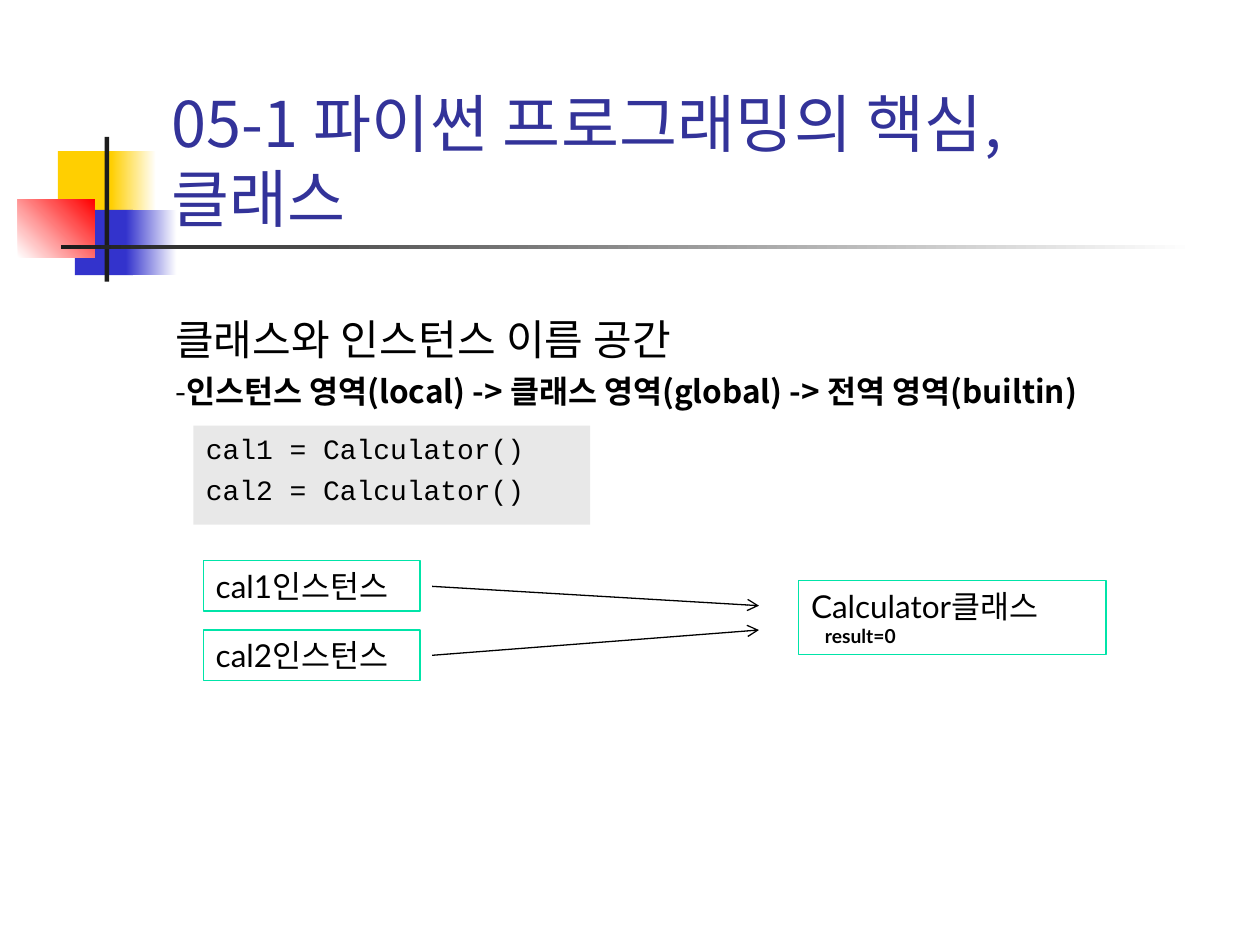
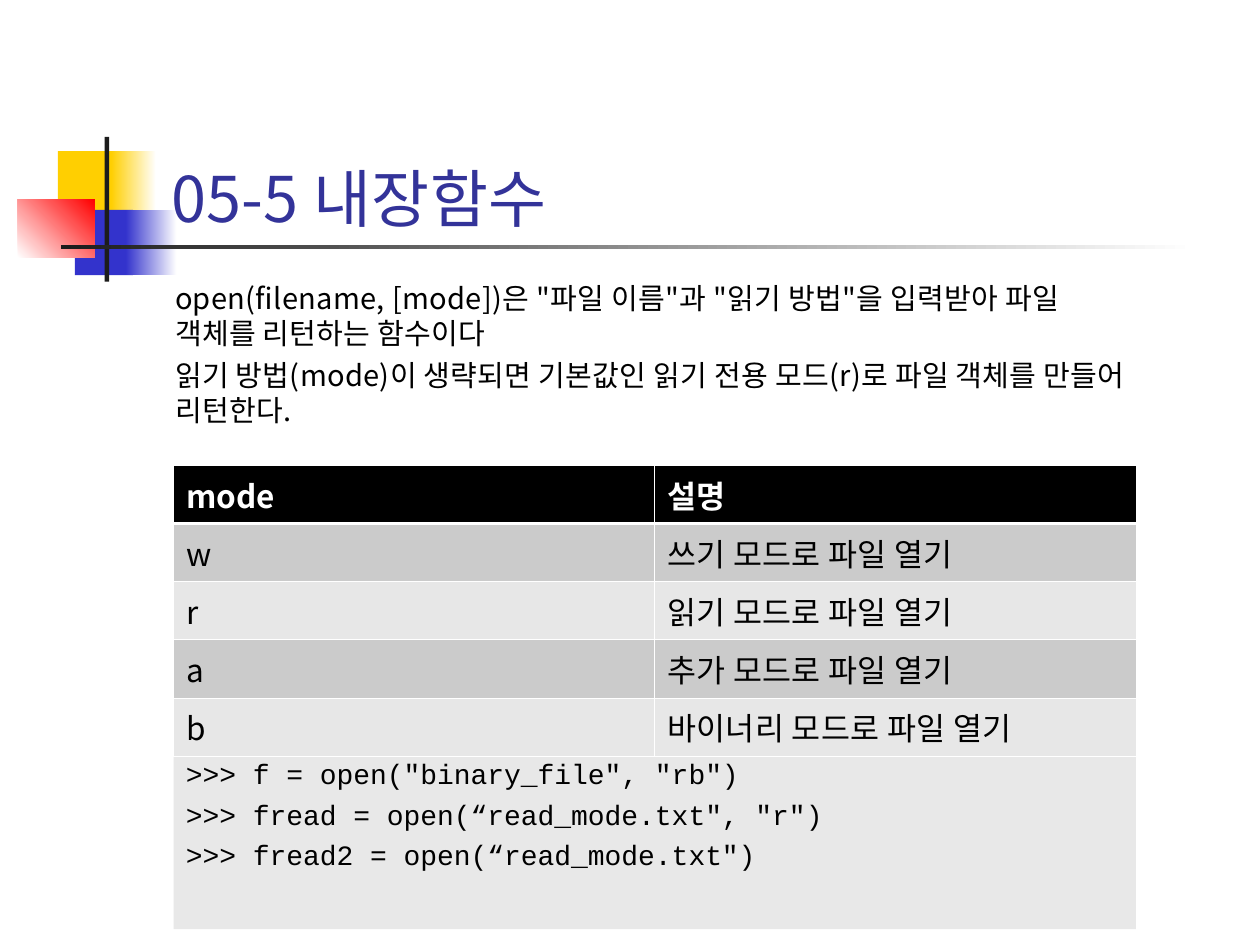
from dataclasses import dataclass
from typing import Optional

from lxml.etree import SubElement
from pptx import Presentation
from pptx.dml.color import RGBColor
from pptx.enum.shapes import MSO_CONNECTOR as Connector, MSO_SHAPE as Shape
from pptx.enum.text import MSO_ANCHOR as Anchor, PP_ALIGN as Align
from pptx.oxml.ns import qn
from pptx.util import Cm, Pt

# Colours and fonts
WHITE = RGBColor(0xFF, 0xFF, 0xFF)
BLACK = RGBColor(0x00, 0x00, 0x00)
YELLOW = RGBColor(0xFF, 0xCF, 0x01)
BLUE = RGBColor(0x33, 0x33, 0xCC)
RED = RGBColor(0xFF, 0x00, 0x00)
CHARCOAL = RGBColor(0x1C, 0x1C, 0x1C)
TITLE_BLUE = RGBColor(0x33, 0x33, 0x99)
CODE_GREY = RGBColor(0xE8, 0xE8, 0xE8)
TEAL = RGBColor(0x00, 0xE4, 0xA8)
ROW_GREYS = (RGBColor(0xE7, 0xE7, 0xE7), RGBColor(0xCB, 0xCB, 0xCB))
KOREAN, LATIN, MONO = "Noto Sans CJK KR", "Lato", "Courier New"
KOREAN_TRACKING = "20"  # hundredths of a point


@dataclass(frozen=True)
class Box:
    """Place and size in centimetres."""
    left: float
    top: float
    width: float
    height: float

    def lengths(self) -> tuple:
        return Cm(self.left), Cm(self.top), Cm(self.width), Cm(self.height)


@dataclass(frozen=True)
class Block:
    """A decoration block, plain or fading from one colour to another."""
    box: Box
    color: RGBColor
    fade_to: Optional[RGBColor] = None
    angle: int = 0


@dataclass(frozen=True)
class Arrow:
    """Start and end points in centimetres."""
    x1: float
    y1: float
    x2: float
    y2: float


TITLE_BOX = Box(3.2, 1.7, 19.71, 3.18)
DECORATION = (
    Block(Box(1.17, 3.05, 1.22, 1.32), YELLOW),
    Block(Box(2.24, 3.05, 0.91, 1.32), YELLOW, WHITE),
    Block(Box(1.51, 4.23, 1.17, 1.32), BLUE),
    Block(Box(2.54, 4.23, 1.02, 1.32), BLUE, WHITE),
    Block(Box(0.36, 4.02, 1.55, 1.17), WHITE, RED, 45),
    Block(Box(2.11, 2.76, 0.09, 2.92), CHARCOAL),
    Block(Box(1.23, 4.94, 22.86, 0.09), CHARCOAL, WHITE),
)


def add_text(frame, text: str, *, size: float, font: str = KOREAN,
             color: RGBColor = BLACK, bold: bool = False, before: float = 0,
             indent: float = 0, same_line: bool = False) -> None:
    """Add text as a new paragraph, or to the end of the last one."""
    paragraph = frame.paragraphs[-1]
    if paragraph.runs and not same_line:
        paragraph = frame.add_paragraph()
    paragraph.alignment = Align.LEFT
    paragraph.space_before = Pt(before)
    if indent:
        properties = paragraph._p.get_or_add_pPr()
        properties.set("marL", str(Cm(indent)))
        properties.set("indent", "0")
    run = paragraph.add_run()
    run.text = text
    run.font.size, run.font.name, run.font.bold = Pt(size), font, bold
    run.font.color.rgb = color
    run_properties = run._r.get_or_add_rPr()
    SubElement(run_properties, qn("a:ea"), typeface=font)
    if font == KOREAN and not bold:
        run_properties.set("spc", KOREAN_TRACKING)


def set_frame(frame, anchor: Anchor = Anchor.TOP) -> None:
    frame.word_wrap = True
    frame.vertical_anchor = anchor
    frame.margin_left = frame.margin_right = Cm(0.25)
    frame.margin_top = frame.margin_bottom = Cm(0.13)


def add_rectangle(slide, box: Box, fill: Optional[RGBColor] = None,
                  line: Optional[RGBColor] = None):
    rectangle = slide.shapes.add_shape(Shape.RECTANGLE, *box.lengths())
    rectangle.shadow.inherit = False
    if fill is None:
        rectangle.fill.background()
    else:
        rectangle.fill.solid()
        rectangle.fill.fore_color.rgb = fill
    if line is None:
        rectangle.line.fill.background()
    else:
        rectangle.line.color.rgb = line
        rectangle.line.width = Pt(0.75)
    set_frame(rectangle.text_frame)
    return rectangle


def add_block(slide, block: Block) -> None:
    rectangle = add_rectangle(slide, block.box, block.color)
    if block.fade_to is not None:
        rectangle.fill.gradient()
        rectangle.fill.gradient_angle = block.angle
        stops = rectangle.fill.gradient_stops
        for stop, color in zip(stops, (block.color, block.fade_to)):
            stop.color.rgb = color


def add_titled_slide(deck, heading: str):
    slide = deck.slides.add_slide(deck.slide_layouts[5])
    for block in DECORATION:
        add_block(slide, block)
    title = slide.shapes.title
    title.left, title.top, title.width, title.height = TITLE_BOX.lengths()
    set_frame(title.text_frame, Anchor.BOTTOM)
    add_text(title.text_frame, heading, size=36, color=TITLE_BLUE)
    slide.shapes._spTree.append(title._element)  # keep the title in front
    return slide


def add_body(slide, box: Box):
    frame = slide.shapes.add_textbox(*box.lengths()).text_frame
    set_frame(frame)
    return frame


def add_code(slide, box: Box, lines: tuple) -> None:
    frame = add_rectangle(slide, box, CODE_GREY).text_frame
    for number, line in enumerate(lines):
        add_text(frame, line, size=16, font=MONO, before=4 if number else 0)


def add_object_box(slide, box: Box, label: str):
    frame = add_rectangle(slide, box, line=TEAL).text_frame
    add_text(frame, label, size=18, font=LATIN)
    return frame


def add_arrow(slide, arrow: Arrow) -> None:
    connector = slide.shapes.add_connector(
        Connector.STRAIGHT, Cm(arrow.x1), Cm(arrow.y1), Cm(arrow.x2), Cm(arrow.y2))
    connector.line.color.rgb = BLACK
    connector.line.width = Pt(0.75)
    SubElement(connector.line._get_or_add_ln(), qn("a:tailEnd"), type="arrow")
    SubElement(connector._element.spPr, qn("a:effectLst"))


def set_cell_borders(cell, top: float, bottom: float) -> None:
    properties = cell._tc.get_or_add_tcPr()
    widths = {"a:lnL": 0.45, "a:lnR": 0.45, "a:lnT": top, "a:lnB": bottom}
    for tag, width in widths.items():
        border = SubElement(properties, qn(tag), w=str(Pt(width)))
        fill = SubElement(border, qn("a:solidFill"))
        SubElement(fill, qn("a:srgbClr"), val=str(WHITE))


def add_mode_table(slide, box: Box, rows: tuple) -> None:
    table = slide.shapes.add_table(len(rows), len(rows[0]), *box.lengths()).table
    table.horz_banding = False
    for r, row in enumerate(rows):
        header = r == 0
        for c, text in enumerate(row):
            cell = table.cell(r, c)
            set_cell_borders(cell, top=1.47 if r == 1 else 0.45,
                             bottom=1.47 if header else 0.45)
            cell.fill.solid()
            cell.fill.fore_color.rgb = BLACK if header else ROW_GREYS[r % 2]
            add_text(cell.text_frame, text, size=18, bold=header,
                     color=WHITE if header else BLACK)


def build_namespace_slide(deck) -> None:
    slide = add_titled_slide(deck, "05-1 파이썬 프로그래밍의 핵심, 클래스")
    add_code(slide, Box(3.9, 8.58, 8, 2), ("cal1 = Calculator()", "cal2 = Calculator()"))

    # Lookup order
    body = add_body(slide, Box(3.28, 6.19, 20.42, 2.51))
    add_text(body, "클래스와 인스턴스 이름 공간", size=24)
    add_text(body, "-", size=18, before=4.5)
    add_text(body, "인스턴스 영역(local) -> 클래스 영역(global) -> 전역 영역(builtin)",
             size=18, bold=True, before=4.5, same_line=True)

    # Instances pointing at their class
    for number, instance in enumerate(("cal1인스턴스", "cal2인스턴스")):
        add_object_box(slide, Box(4.1, 11.3 + 1.4 * number, 4.37, 1.02), instance)
    calculator = add_object_box(slide, Box(16.1, 11.7, 6.2, 1.49), "Calculator클래스")
    add_text(calculator, "result=0", size=11, font=LATIN, bold=True, indent=0.28)
    for arrow in (Arrow(8.71, 11.82, 15.3, 12.21), Arrow(8.71, 13.21, 15.3, 12.7)):
        add_arrow(slide, arrow)


def build_open_slide(deck) -> None:
    slide = add_titled_slide(deck, "05-5 내장함수")
    add_code(slide, Box(3.5, 15.12, 19.4, 3.61), (
        '>>> f = open("binary_file", "rb")',
        '>>> fread = open(“read_mode.txt", "r")',
        '>>> fread2 = open(“read_mode.txt")',
    ))

    # What open() does
    body = add_body(slide, Box(3.28, 5.52, 19.7, 3.4))
    add_text(body, 'open(filename, [mode])은 "파일 이름"과 "읽기 방법"을 입력받아 '
             "파일 객체를 리턴하는 함수이다", size=16.6)
    add_text(body, "읽기 방법(mode)이 생략되면 기본값인 읽기 전용 모드(r)로 파일 객체를 "
             "만들어 리턴한다.", size=16.6, before=4.5)

    # File modes
    add_mode_table(slide, Box(3.5, 9.38, 19.4, 5.86), (
        ("mode", "설명"),
        ("w", "쓰기 모드로 파일 열기"),
        ("r", "읽기 모드로 파일 열기"),
        ("a", "추가 모드로 파일 열기"),
        ("b", "바이너리 모드로 파일 열기"),
    ))


def main() -> None:
    deck = Presentation()
    deck.slide_width, deck.slide_height = Cm(25.4), Cm(19.05)
    build_namespace_slide(deck)
    build_open_slide(deck)
    deck.save("out.pptx")


if __name__ == "__main__":
    main()
